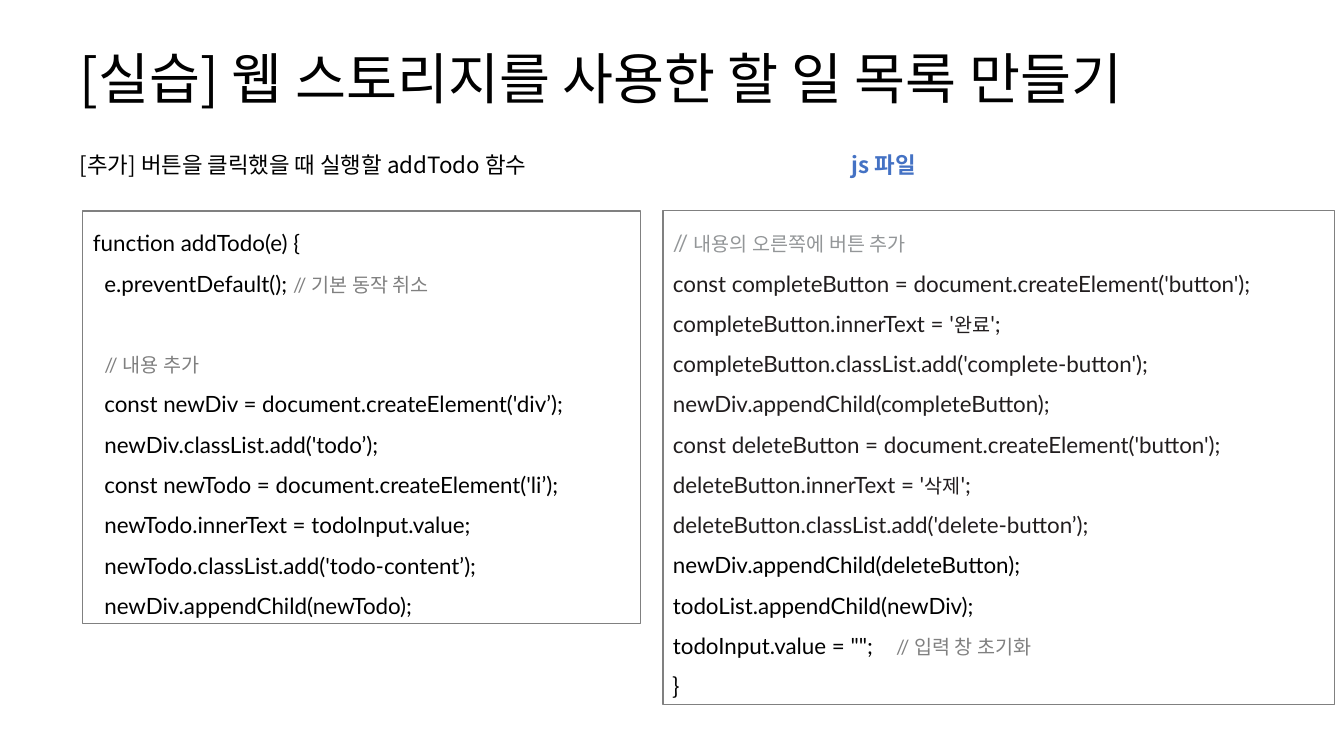
"""Build the slide about the addTodo function of a web storage to-do list."""
from lxml.etree import SubElement
from pptx import Presentation
from pptx.dml.color import RGBColor
from pptx.enum.shapes import MSO_SHAPE
from pptx.enum.text import MSO_ANCHOR, PP_ALIGN
from pptx.oxml.ns import qn
from pptx.util import Pt

EMU_PER_PX = 914400 / 100.8
LATO, NOTO = "Lato", "Noto Sans CJK KR"
BLACK, INK, GRAY, PALE, BLUE = "000000", "211D1E", "808080", "939698", "4472C4"
CODE_LINE_POINTS = 28.8

HEADINGS = [
    ("[실습] 웹 스토리지를 사용한 할 일 목록 만들기", (70, 35, 1168, 93), 39.6, BLACK, False, 0.9),
    ("[추가] 버튼을 클릭했을 때 실행할 addTodo 함수", (70, 146, 887, 37), 16, BLACK, False, 1),
    ("js 파일", (842, 146, 124, 37), 16, BLUE, True, 1),
]


def code(text, color=BLACK, font=LATO):
    """Return a code run."""
    return text, 16, color, font


def note(text, color=GRAY):
    """Return a smaller run for comments and Korean strings."""
    return text, 14, color, LATO


LEFT_CODE = [
    [code("function addTodo(e) {")],
    [code("  e.preventDefault(); "), note("// 기본 동작 취소")],
    [code("  "), note("// 내용 추가")],
    [code("  const newDiv = document.createElement('div’);")],
    [code("  newDiv.classList.add('todo’);")],
    [code("  const newTodo = document.createElement('li’);")],
    [code("  newTodo.innerText = todoInput.value;")],
    [code("  newTodo.classList.add('todo-content’);")],
    [code("  newDiv.appendChild(newTodo);")],
]
RIGHT_CODE = [
    [code("// ", PALE), note("내용의 오른쪽에 버튼 추가", PALE)],
    [code("const completeButton = document.createElement('button');", INK)],
    [code("completeButton.innerText = '", INK), note("완료", INK), code("';", INK)],
    [code("completeButton.classList.add('complete-button');", INK)],
    [code("newDiv.appendChild(completeButton);", INK)],
    [code("const deleteButton = document.createElement('button');", INK)],
    [code("deleteButton.innerText = '", INK), note("삭제", INK), code("';", INK)],
    [code("deleteButton.classList.add('delete-button’);", INK)],
    [code("newDiv.appendChild(deleteButton);")],
    [code("todoList.appendChild(newDiv);")],
    [code('todoInput.value = "";    '), note("// 입력 창 초기화")],
    [code("}", BLACK, NOTO)],
]
CODE_BOXES = [
    ((83, 211, 558, 413), LEFT_CODE, {2}),
    ((663, 211, 672, 494), RIGHT_CODE, set()),
]


def px(value):
    """Turn pixels into EMU."""
    return round(value * EMU_PER_PX)


def rgb(value):
    """Turn a hex string into a colour."""
    return RGBColor.from_string(value)


def style_run(run, size, color, font, bold=False):
    """Format a run with Latin and Korean fonts."""
    run.font.size = Pt(size)
    run.font.bold = bold
    run.font.color.rgb = rgb(color)
    run.font.name = font
    SubElement(run.font._element, qn("a:ea")).set("typeface", NOTO)


def add_heading(slide, text, box, size, color, bold, spacing):
    """Add a one-line text box."""
    frame = slide.shapes.add_textbox(*map(px, box)).text_frame
    frame.word_wrap = True
    frame.vertical_anchor = MSO_ANCHOR.MIDDLE
    frame.text = text
    paragraph = frame.paragraphs[0]
    paragraph.line_spacing = spacing
    style_run(paragraph.runs[0], size, color, NOTO, bold)


def add_code_box(slide, box, lines, gaps):
    """Add an outlined code box with an empty line's gap before the given lines."""
    shape = slide.shapes.add_shape(MSO_SHAPE.RECTANGLE, *map(px, box))
    shape.shadow.inherit = False
    shape.fill.background()
    shape.line.color.rgb = rgb(GRAY)
    shape.line.width = Pt(0.75)
    frame = shape.text_frame
    frame.word_wrap = True
    frame.vertical_anchor = MSO_ANCHOR.TOP
    for index, runs in enumerate(lines):
        paragraph = frame.add_paragraph() if index else frame.paragraphs[0]
        paragraph.alignment = PP_ALIGN.JUSTIFY
        paragraph.line_spacing = 1.5
        if index in gaps:
            paragraph.space_before = Pt(CODE_LINE_POINTS)
        for text, size, color, font in runs:
            run = paragraph.add_run()
            run.text = text
            style_run(run, size, color, font)


def main():
    """Build and save the presentation."""
    presentation = Presentation()
    presentation.slide_width, presentation.slide_height = px(1344), px(756)
    slide = presentation.slides.add_slide(presentation.slide_layouts[6])
    for heading in HEADINGS:
        add_heading(slide, *heading)
    for code_box in CODE_BOXES:
        add_code_box(slide, *code_box)
    presentation.save("out.pptx")


if __name__ == "__main__":
    main()
